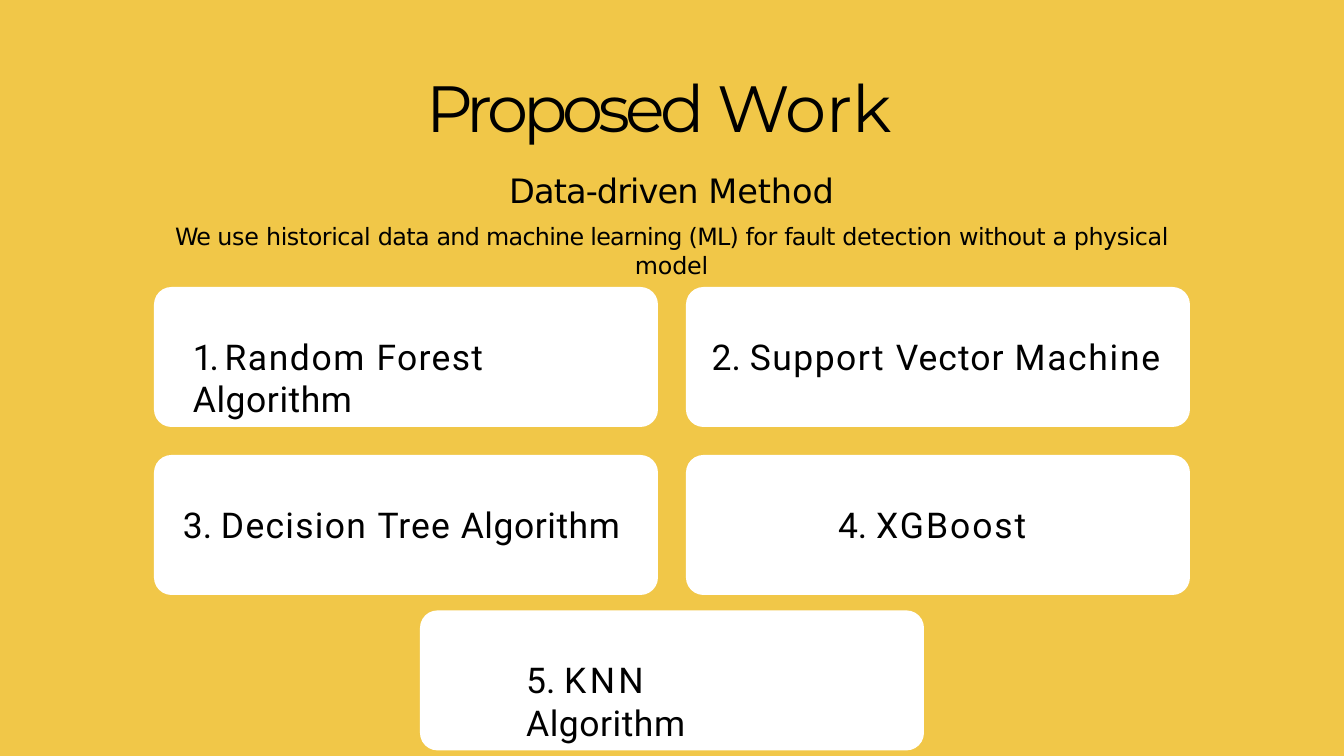
from dataclasses import dataclass

from pptx import Presentation
from pptx.dml.color import RGBColor
from pptx.enum import shapes, text
from pptx.util import Inches, Pt

GOLD = RGBColor(0xF1, 0xC7, 0x48)
WHITE = RGBColor(0xFF, 0xFF, 0xFF)
BLACK = RGBColor(0x00, 0x00, 0x00)

COLS, ROWS = 48, 27
UNIT = 20 / COLS
CARD_W, CARD_H = 18, 5
LABEL_DROP, LABEL_H = 1.68, 1.58


@dataclass(frozen=True)
class Box:
    """Area in grid columns and rows."""

    col: float
    row: float
    width: float
    height: float

    def emu(self) -> list[int]:
        """Return left, top, width and height as lengths."""
        return [Inches(n * UNIT) for n in (self.col, self.row, self.width, self.height)]


@dataclass(frozen=True)
class Line:
    """Paragraph made of words with their letter spacing in points."""

    runs: list[tuple[str, float]]
    size: float
    before: float = 0


@dataclass(frozen=True)
class Card:
    """White card with a label at its own column."""

    col: float
    row: float
    label_col: float
    label_width: float
    runs: list[tuple[str, float]]


CARDS = [
    Card(5.5, 10.25, 6.89, 16.34,
         [("1. ", -3.5), ("Random ", 1.7), ("Forest ", 1.4), ("Algorithm", 0.6)]),
    Card(24.5, 10.25, 25.42, 16.15,
         [("2. ", 0), ("Support ", 1.6), ("Vector ", 1.1), ("Machine", 1.8)]),
    Card(5.5, 16.25, 6.53, 15.96,
         [("3. ", 0), ("Decision ", 1.4), ("Tree ", 1.1), ("Algorithm", 0.6)]),
    Card(24.5, 16.25, 29.93, 6.79, [("4. ", 0), ("XGBoost", 2.1)]),
    Card(15, 21.8, 18.79, 10.42, [("5. ", 0), ("KNN ", 3.6), ("Algorithm", 0.6)]),
]

TITLE = Line([("Proposed ", -5.2), ("Work", -0.2)], 70)
METHOD = Line([("Data-driven ", -1), ("Method", -0.1)], 36)
SUMMARY = Line(
    [("We ", -1.2), ("use ", -0.4), ("historical ", -0.5), ("data ", -0.7),
     ("and machine learning (ML) ", -0.8), ("for ", -0.6), ("fault ", -0.8),
     ("detection ", -0.4), ("without ", -0.6), ("a ", -1), ("physical ", -0.5),
     ("model", -0.2)],
    25.5, before=12.8)


def add_panel(s, box: Box, color: RGBColor, kind=shapes.MSO_SHAPE.RECTANGLE):
    """Draw a plain filled shape."""
    sp = s.shapes.add_shape(kind, *box.emu())
    sp.shadow.inherit = False
    sp.fill.solid()
    sp.fill.fore_color.rgb = color
    sp.line.fill.background()
    return sp


def add_text(s, box: Box, lines: list[Line], *, font: str = "Roboto",
             align=text.PP_ALIGN.LEFT, inset: float = 0.01) -> None:
    """Write spaced paragraphs in a wrapping text box."""
    tf = s.shapes.add_textbox(*box.emu()).text_frame
    tf.word_wrap = True
    tf.auto_size = text.MSO_AUTO_SIZE.SHAPE_TO_FIT_TEXT
    tf.margin_left = tf.margin_right = tf.margin_bottom = 0
    tf.margin_top = Inches(inset)
    for i, line in enumerate(lines):
        p = tf.add_paragraph() if i else tf.paragraphs[0]
        p.alignment = align
        p.space_before = Pt(line.before)
        for words, spacing in line.runs:
            r = p.add_run()
            r.text = words
            r.font.name = font
            r.font.size = Pt(line.size)
            r.font.color.rgb = BLACK
            r.font._element.set("spc", str(round(spacing * 100)))


def add_card(s, card: Card) -> None:
    """Draw a rounded card and its label."""
    sp = add_panel(s, Box(card.col, card.row, CARD_W, CARD_H), WHITE,
                   shapes.MSO_SHAPE.ROUNDED_RECTANGLE)
    sp.adjustments[0] = 0.125
    label = Box(card.label_col, card.row + LABEL_DROP, card.label_width, LABEL_H)
    add_text(s, label, [Line(card.runs, 38)])


def main() -> None:
    """Build the slide and save it."""
    prs = Presentation()
    prs.slide_width, prs.slide_height = Inches(COLS * UNIT), Inches(ROWS * UNIT)
    s = prs.slides.add_slide(prs.slide_layouts[6])
    add_panel(s, Box(0, 0, COLS, ROWS), GOLD)
    for card in CARDS:
        add_card(s, card)
    add_text(s, Box(15.22, 2.38, 17.57, 2.86), [TITLE], font="Montserrat")
    add_text(s, Box(5.06, 5.42, 37.85, 3.55), [METHOD, SUMMARY], font="DejaVu Sans",
             align=text.PP_ALIGN.CENTER, inset=0.27)
    prs.save("out.pptx")


if __name__ == "__main__":
    main()
